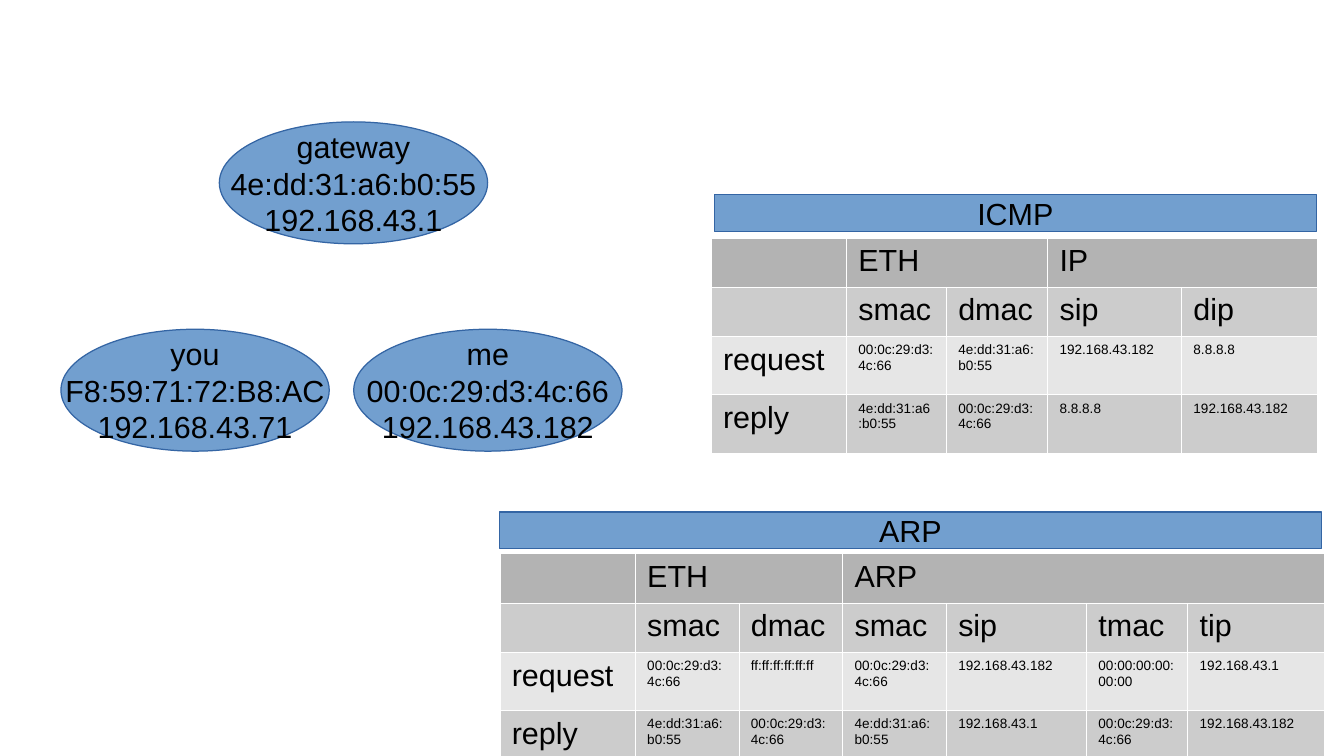
from typing import NamedTuple

from pptx import Presentation
from pptx import util as u
from pptx.dml.color import RGBColor
from pptx.enum import shapes, text
from pptx.oxml import parse_xml
from pptx.oxml.ns import nsdecls

HUES = {"ink": "000000", "blue": "729FCF", "edge": "3465A4", "rule": "FFFFFF",
        "head": "B3B3B3", "mid": "CCCCCC", "pale": "E6E6E6"}
BANDS = ("head", "mid", "pale", "mid")
TALLS = (0.97, 0.97, 1.21, 1.21)
MINE, GATE = "00:0c:29:d3:4c:66", "4e:dd:31:a6:b0:55"
MY_IP, GATE_IP, HOST = "192.168.43.182", "192.168.43.1", "8.8.8.8"


class Node(NamedTuple):
    name: str
    mac: str
    ip: str
    left: float
    top: float


class Group(NamedTuple):
    name: str
    first: int
    last: int


class Grid(NamedTuple):
    left: float
    top: float
    wides: tuple
    groups: tuple
    rows: tuple


class Bar(NamedTuple):
    name: str
    left: float
    top: float
    wide: float


NODES = (
    Node("gateway", GATE, GATE_IP, 4.57, 2.54),
    Node("you", "F8:59:71:72:B8:AC", "192.168.43.71", 1.27, 6.86),
    Node("me", MINE, MY_IP, 7.37, 6.86),
)
GRIDS = (
    Grid(14.81, 4.95, (2.82, 2.08, 2.11, 2.79, 2.82),
         (Group("ETH", 1, 2), Group("IP", 3, 4)),
         (("", "smac", "dmac", "sip", "dip"),
          ("request", MINE, GATE, MY_IP, HOST),
          ("reply", GATE, MINE, HOST, MY_IP))),
    Grid(10.41, 11.53, (2.82, 2.16, 2.16, 2.16, 2.92, 2.11, 2.84),
         (Group("ETH", 1, 2), Group("ARP", 3, 6)),
         (("", "smac", "dmac", "smac", "sip", "tmac", "tip"),
          ("request", MINE, "ff:ff:ff:ff:ff:ff", MINE, MY_IP, "00:00:00:00:00:00", GATE_IP),
          ("reply", GATE, MINE, GATE, GATE_IP, MINE, MY_IP))),
)
BARS = (Bar("ICMP", 14.88, 4.06, 12.55), Bar("ARP", 10.41, 10.67, 17.12))


def hue(name: str) -> RGBColor:
    return RGBColor.from_string(HUES[name])


def write(frame, *lines: str, size: int = 18, align=text.PP_ALIGN.LEFT) -> None:
    for spot, line in enumerate(lines):
        para = frame.add_paragraph() if spot else frame.paragraphs[0]
        para.alignment = align
        run = para.add_run()
        run.text = line
        run.font.name = "Arial"
        run.font.size = u.Pt(size)
        run.font.color.rgb = hue("ink")


def draw_box(slide, kind, left: float, top: float, wide: float, tall: float, *lines: str) -> None:
    box = slide.shapes.add_shape(kind, *map(u.Cm, (left, top, wide, tall)))
    box.shadow.inherit = False
    box.fill.solid()
    box.fill.fore_color.rgb = hue("blue")
    box.line.color.rgb = hue("edge")
    box.line.width = u.Pt(0.75)
    frame = box.text_frame
    frame.word_wrap = False
    frame.vertical_anchor = text.MSO_ANCHOR.MIDDLE
    write(frame, *lines, align=text.PP_ALIGN.CENTER)


def paint(cell, shade: str) -> None:
    props = cell._tc.get_or_add_tcPr()
    for side in "LRTB":
        props.append(parse_xml(
            f'<a:ln{side} {nsdecls("a")} w="762"><a:solidFill>'
            f'<a:srgbClr val="{HUES["rule"]}"/></a:solidFill></a:ln{side}>'))
    cell.fill.solid()
    cell.fill.fore_color.rgb = hue(shade)


def draw_grid(slide, grid: Grid) -> None:
    size = (grid.left, grid.top, sum(grid.wides), sum(TALLS))
    table = slide.shapes.add_table(len(TALLS), len(grid.wides), *map(u.Cm, size)).table
    table.first_row = table.horz_banding = False
    for col, wide in zip(table.columns, grid.wides):
        col.width = u.Cm(wide)
    for row, tall, shade in zip(table.rows, TALLS, BANDS):
        row.height = u.Cm(tall)
        for cell in row.cells:
            paint(cell, shade)
    for group in grid.groups:
        head = table.cell(0, group.first)
        head.merge(table.cell(0, group.last))
        write(head.text_frame, group.name)
    for r, row in enumerate(grid.rows, 1):
        for c, word in enumerate(row):
            if word:
                write(table.cell(r, c).text_frame, word, size=8 if r > 1 and c else 18)


deck = Presentation()
deck.slide_width, deck.slide_height = u.Cm(28), u.Cm(15.75)
slide = deck.slides.add_slide(deck.slide_layouts[6])
for grid in GRIDS:
    draw_grid(slide, grid)
for bar in BARS:
    draw_box(slide, shapes.MSO_SHAPE.RECTANGLE, bar.left, bar.top, bar.wide, 0.76, bar.name)
for node in NODES:
    draw_box(slide, shapes.MSO_SHAPE.OVAL, node.left, node.top, 5.59, 2.54,
             node.name, node.mac, node.ip)
deck.save("out.pptx")
